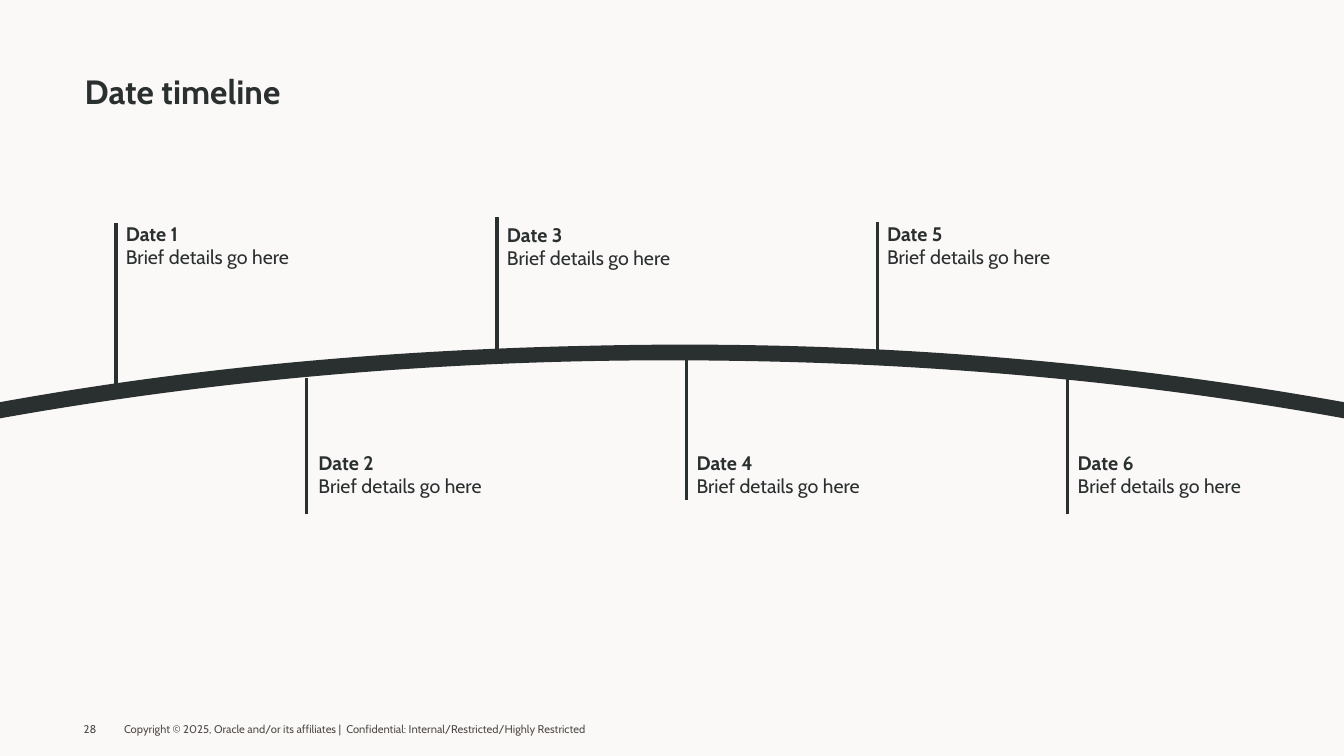
"""Build a slide with a curved date timeline."""
import lxml.etree
import pptx
import pptx.dml.color
import pptx.enum.shapes
import pptx.enum.text
import pptx.oxml.ns
import pptx.util

COLORS = {"back": "FBF9F8", "ink": "2A2F2F", "footer": "514C47"}
FONT = "Cabin"
WIDTH, HEIGHT = 13.33, 7.5
FIRST, LAST = 1.15, 10.59
UPPER, LOWER = 2.15, 4.42
DETAILS = "Brief details go here"
DATES = [
    {"stem": (3.85, 2.21), "label": (0, UPPER)},
    {"stem": (5.1, 3.75), "label": (0.02, LOWER)},
    {"stem": (3.5, 2.15), "label": (0, UPPER + 0.01)},
    {"stem": (4.96, 3.5), "label": (0, LOWER)},
    {"stem": (3.55, 2.2), "label": (0, UPPER)},
    {"stem": (5.1, 3.75), "label": (0, LOWER)},
]
ARC_START = (0, 3.99)
ARC = [
    [(1.93, 3.64), (3.9, 3.47), (5.86, 3.43)],
    [(8.36, 3.37), (10.87, 3.55), (WIDTH, 3.99)],
    [(WIDTH, 4.15)],
    [(11.34, 3.79), (9.32, 3.61), (7.3, 3.58)],
    [(4.86, 3.54), (2.41, 3.72), (0, 4.15)],
    [(0, 4.1), (0, 4.05), ARC_START],
]


def rgb(name):
    """Return a named colour."""
    return pptx.dml.color.RGBColor.from_string(COLORS[name])


def inches(*values):
    """Convert numbers to lengths in inches."""
    return [pptx.util.Inches(v) for v in values]


def write(tf, lines, size, color, anchor, inset=None):
    """Fill a text frame with (text, bold) paragraphs."""
    tf.word_wrap = True
    tf.auto_size = pptx.enum.text.MSO_AUTO_SIZE.NONE
    tf.vertical_anchor = anchor
    if inset is not None:
        tf.margin_left = tf.margin_top = tf.margin_right = tf.margin_bottom = inset
    for i, (text, bold) in enumerate(lines):
        p = tf.add_paragraph() if i else tf.paragraphs[0]
        p.text = text
        p.alignment = pptx.enum.text.PP_ALIGN.LEFT
        p.font.name = FONT
        p.font.size = pptx.util.Pt(size)
        p.font.bold = bold
        p.font.color.rgb = rgb(color)


def add_title(s, text):
    """Place and format the title."""
    sp = s.shapes.title
    sp.left, sp.top, sp.width, sp.height = inches(0.84, 0.2, 11.67, 0.9)
    write(sp.text_frame, [(text, True)], 24, "ink", pptx.enum.text.MSO_ANCHOR.BOTTOM, 0)


def add_date(s, index, stem, label):
    """Add one grouped date: a stem with its label."""
    x = round(FIRST + index * (LAST - FIRST) / (len(DATES) - 1), 2)
    group = s.shapes.add_group_shape()
    line = group.shapes.add_connector(
        pptx.enum.shapes.MSO_CONNECTOR.STRAIGHT, *inches(x, stem[0], x, stem[1]))
    line.line.color.rgb = rgb("ink")
    line.line.width = pptx.util.Pt(2.25)
    lxml.etree.SubElement(line._element.spPr, pptx.oxml.ns.qn("a:effectLst"))
    shift, top = label
    sp = group.shapes.add_textbox(*inches(x + shift, top, 2.08, 0.73))
    lines = [(f"Date {index + 1}", True), (DETAILS, False)]
    write(sp.text_frame, lines, 14, "ink", pptx.enum.text.MSO_ANCHOR.TOP)


def add_footer(s, x, width, text):
    """Add a footer text on the bottom row."""
    sp = s.shapes.add_textbox(*inches(x, 7.03, width, 0.4))
    write(sp.text_frame, [(text, False)], 8, "footer", pptx.enum.text.MSO_ANCHOR.MIDDLE, 0)


def bend(sp, segments):
    """Turn the straight segments that have control points into cubic curves."""
    qn = pptx.oxml.ns.qn
    for line, points in zip(list(sp._element.iter(qn("a:lnTo"))), segments):
        if len(points) == 1:
            continue
        curve = lxml.etree.Element(qn("a:cubicBezTo"))
        for point in points:
            x, y = inches(*point)
            lxml.etree.SubElement(curve, qn("a:pt"), x=str(x - sp.left), y=str(y - sp.top))
        line.getparent().replace(line, curve)


def add_arc(s):
    """Add the curved band across the slide."""
    builder = s.shapes.build_freeform(*inches(*ARC_START))
    builder.add_line_segments([inches(*points[-1]) for points in ARC], close=True)
    sp = builder.convert_to_shape()
    bend(sp, ARC)
    sp.shadow.inherit = False
    sp.fill.solid()
    sp.fill.fore_color.rgb = rgb("ink")
    sp.line.fill.background()


def main():
    """Build and save the presentation."""
    prs = pptx.Presentation()
    prs.slide_width, prs.slide_height = inches(WIDTH, HEIGHT)
    s = prs.slides.add_slide(prs.slide_layouts[5])
    s.background.fill.solid()
    s.background.fill.fore_color.rgb = rgb("back")
    add_title(s, "Date timeline")
    for index, date in enumerate(DATES):
        add_date(s, index, **date)
    add_footer(s, 0.83, 0.4, "28")
    add_footer(s, 1.23, 6.28, "Copyright © 2025, Oracle and/or its affiliates |  "
               "Confidential: Internal/Restricted/Highly Restricted")
    add_arc(s)
    prs.save("out.pptx")


if __name__ == "__main__":
    main()
